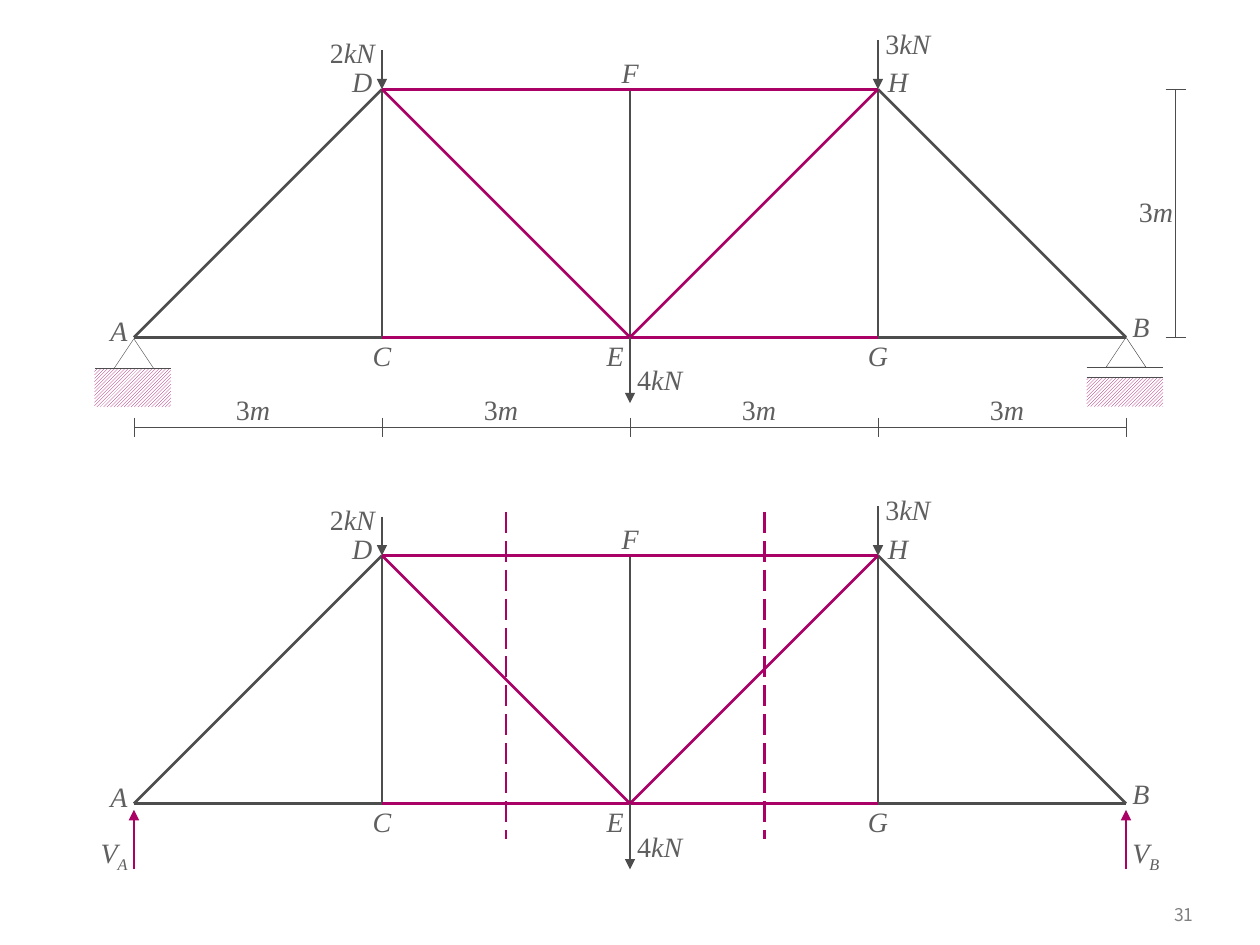
import dataclasses
import typing

import lxml.etree
import pptx
import pptx.dml.color
import pptx.enum.dml
import pptx.enum.shapes
import pptx.enum.text
import pptx.oxml.ns
import pptx.util

Pt = pptx.util.Pt
Point = typing.Tuple[float, float]

GREY, MAGENTA, TEXT, WHITE = "4D4D4D", "A90165", "5F5F5F", "FFFFFF"
THIN, THICK = 0.25, 1.5
PANEL = 141.73
XA, XD, XE, XH, XB = (360 + k * PANEL for k in range(-2, 3))
TOP = 51.02
BOTTOM = TOP + PANEL
TRUSS_GAP = 266.46
DIM_Y = 244.3
TICK = 5.67
RISE_X = 671.8


@dataclasses.dataclass
class Label:
    x: float
    y: float
    w: float
    upright: str = ""
    italic: str = ""
    sub: str = ""
    h: float = 17


@dataclasses.dataclass
class Member:
    start: Point
    end: Point
    color: str = GREY
    arrow: bool = False


JOINTS: typing.Dict[str, Point] = {
    "A": (XA, BOTTOM), "C": (XD, BOTTOM), "E": (XE, BOTTOM), "G": (XH, BOTTOM),
    "B": (XB, BOTTOM), "D": (XD, TOP), "F": (XE, TOP), "H": (XH, TOP),
}
GREY_BARS = ["AD", "AC", "EF", "BH", "GH", "CD", "GB"]
MAGENTA_BARS = ["ED", "EH", "HD", "CG"]
MEMBERS = (
    [Member(JOINTS[a], JOINTS[b]) for a, b in GREY_BARS]
    + [Member(JOINTS[a], JOINTS[b], MAGENTA) for a, b in MAGENTA_BARS]
    + [
        Member((XD, 28.8), JOINTS["D"], arrow=True),
        Member((XH, 22.8), JOINTS["H"], arrow=True),
        Member(JOINTS["E"], (XE, 230.4), arrow=True),
    ]
)
LABELS = [
    Label(59.5, 179.3, 17, italic="A"),
    Label(XB, 177.1, 17, italic="B"),
    Label(206.9, 193.2, 22.7, italic="C"),
    Label(195.6, 37.1, 22.7, italic="D"),
    Label(343, 193.2, 17, italic="E"),
    Label(348.7, 31.7, 22.7, italic="F"),
    Label(490.4, 193.2, 22.7, italic="G"),
    Label(XH, 37.1, 22.7, italic="H"),
    Label(184.3, 20.6, 34, "2", "kN"),
    Label(XH, 14.9, 34, "3", "kN"),
    Label(XE, 207.4, 34, "4", "kN"),
]


def rgb(color: str) -> pptx.dml.color.RGBColor:
    return pptx.dml.color.RGBColor.from_string(color)


def add_line(s, start: Point, end: Point, color: str = GREY, width: float = THIN,
             arrow: bool = False, dashed: bool = False) -> None:
    sp = s.shapes.add_connector(
        pptx.enum.shapes.MSO_CONNECTOR.STRAIGHT, *(Pt(v) for v in (*start, *end)))
    sp.line.color.rgb = rgb(color)
    sp.line.width = Pt(width)
    if dashed:
        sp.line.dash_style = pptx.enum.dml.MSO_LINE.LONG_DASH
    qn = pptx.oxml.ns.qn
    if arrow:
        tail = lxml.etree.SubElement(sp.line._get_or_add_ln(), qn("a:tailEnd"))
        tail.set("type", "triangle")
    lxml.etree.SubElement(sp._element.spPr, qn("a:effectLst"))


def add_label(s, label: Label, dy: float = 0) -> None:
    sp = s.shapes.add_textbox(Pt(label.x), Pt(label.y + dy), Pt(label.w), Pt(label.h))
    tf = sp.text_frame
    tf.word_wrap = True
    tf.margin_left = tf.margin_right = tf.margin_top = tf.margin_bottom = 0
    p = tf.paragraphs[0]
    p.alignment = pptx.enum.text.PP_ALIGN.CENTER
    p.font.name = "Times New Roman"
    p.font.size = Pt(16)
    p.font.color.rgb = rgb(TEXT)
    for text in filter(None, (label.upright, label.italic, label.sub)):
        r = p.add_run()
        r.text = text
        r.font.italic = text != label.upright
        if text == label.sub:
            r._r.get_or_add_rPr().set("baseline", "-25000")


def add_support(s, x: float, apex: float, ground: float, ground_h: float) -> None:
    left, right = x - 22.5, x + 21.2
    shapes = pptx.enum.shapes.MSO_SHAPE
    sp = s.shapes.add_shape(shapes.RECTANGLE, Pt(left), Pt(ground), Pt(right - left), Pt(ground_h))
    sp.shadow.inherit = False
    sp.fill.patterned()
    sp.fill.pattern = pptx.enum.dml.MSO_PATTERN.LIGHT_UPWARD_DIAGONAL
    sp.fill.fore_color.rgb = rgb(MAGENTA)
    sp.fill.back_color.rgb = rgb(WHITE)
    sp.line.fill.background()
    sp = s.shapes.add_shape(shapes.ISOSCELES_TRIANGLE, Pt(x - 11.34), Pt(apex), Pt(22.68), Pt(17))
    sp.shadow.inherit = False
    sp.fill.background()
    sp.line.color.rgb = rgb(GREY)
    sp.line.width = Pt(THIN)
    for y in sorted({apex + 17, ground}):
        add_line(s, (left, y), (right, y))


def add_truss(s, dy: float) -> None:
    for m in MEMBERS:
        (x1, y1), (x2, y2) = m.start, m.end
        add_line(s, (x1, y1 + dy), (x2, y2 + dy), m.color, THICK, m.arrow)
    for label in LABELS:
        add_label(s, label, dy)


def add_dimensions(s) -> None:
    add_line(s, (XA, DIM_Y), (XB, DIM_Y))
    for x in (XA, XD, XE, XH, XB):
        add_line(s, (x, DIM_Y - TICK), (x, DIM_Y + TICK))
    for x, shift in ((XA, -2.83), (XD, -2.83), (XE, 2.83), (XH, 2.83)):
        add_label(s, Label(x + PANEL / 2 + shift - 22.68, 224.5, 45.36, "3", "m", h=20))
    add_line(s, (RISE_X, BOTTOM), (RISE_X, TOP))
    for y in (TOP, BOTTOM):
        add_line(s, (RISE_X - TICK, y), (RISE_X + TICK, y))
    add_label(s, Label(649.2, 111.2, 22.68, "3", "m"))


def add_page_number(s) -> None:
    sp = s.shapes.add_textbox(Pt(638), Pt(510.5), Pt(51), Pt(24))
    tf = sp.text_frame
    tf.word_wrap = True
    tf.vertical_anchor = pptx.enum.text.MSO_ANCHOR.MIDDLE
    p = tf.paragraphs[0]
    p.alignment = pptx.enum.text.PP_ALIGN.RIGHT
    p.font.name = "Noto Sans CJK KR"
    p.font.size = Pt(10)
    p.font.color.rgb = rgb("808080")
    p.add_run().text = "31"


def main() -> None:
    prs = pptx.Presentation()
    prs.slide_width, prs.slide_height = Pt(720), Pt(540)
    s = prs.slides.add_slide(prs.slide_layouts[6])
    add_page_number(s)
    add_support(s, XB, BOTTOM, 215.4, 17)
    add_support(s, XA, 193.6, 210.6, 22)
    add_truss(s, 0)
    add_dimensions(s)
    for x, label_x, name in ((XA, 53.9, "A"), (XB, XB, "B")):
        add_line(s, (x, 496.8), (x, 462.8), MAGENTA, THICK, arrow=True)
        add_label(s, Label(label_x, 477.6, 22.68, italic="V", sub=name, h=22.68))
    for x in (XD + PANEL / 2, 436.8):
        add_line(s, (x, 292.5), (x, 479.6), MAGENTA, THICK, dashed=True)
    add_truss(s, TRUSS_GAP)
    prs.save("out.pptx")


if __name__ == "__main__":
    main()
